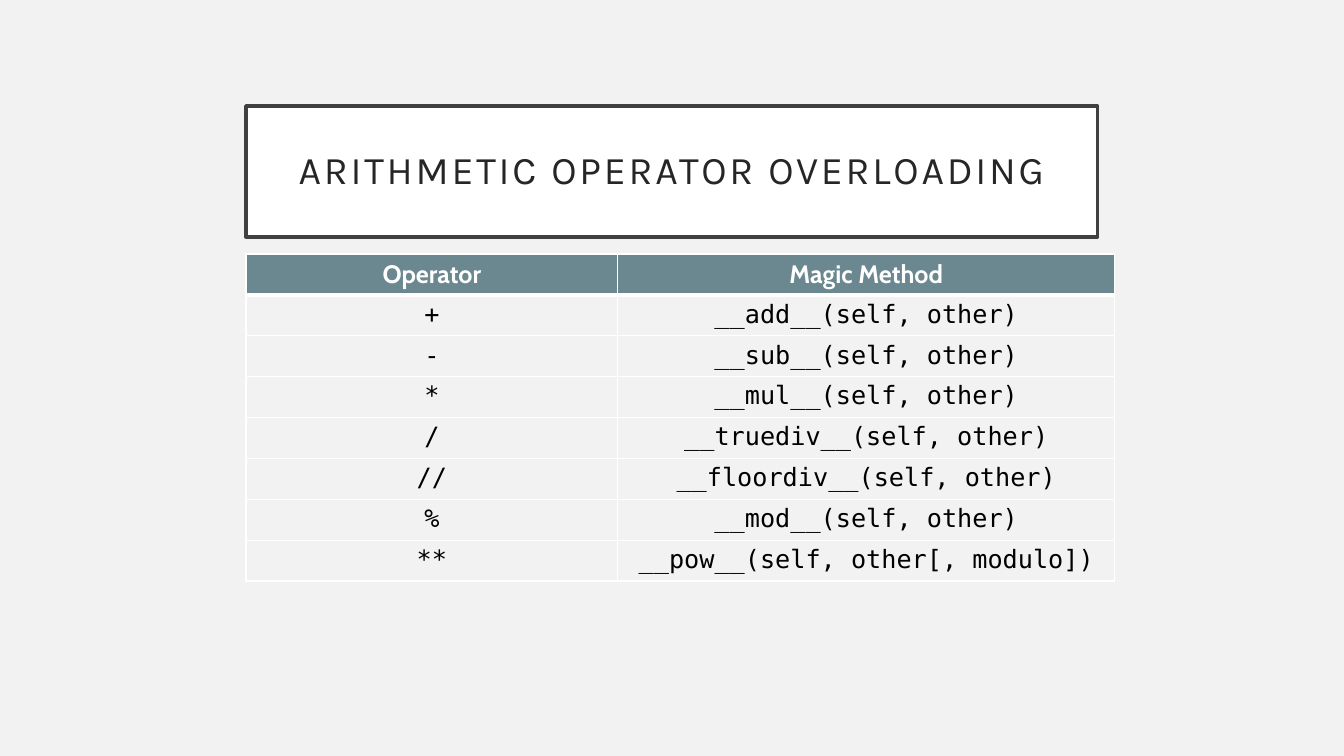
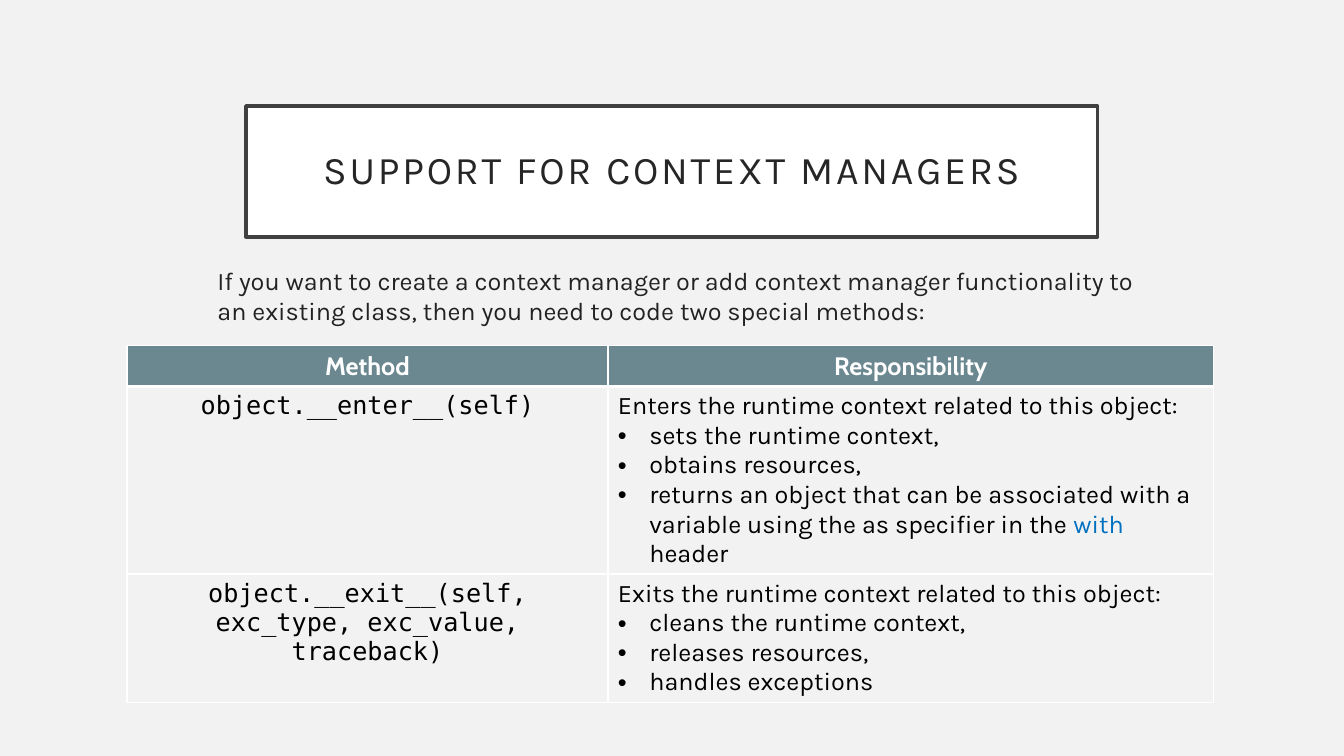
from dataclasses import dataclass, replace
from typing import Optional

from lxml import etree
from pptx import Presentation
from pptx import util as u
from pptx.dml import color
from pptx.enum import shapes, text
from pptx.oxml import ns


# Theme
@dataclass(frozen=True)
class Theme:
    page: str = "F2F2F2"
    white: str = "FFFFFF"
    frame: str = "404040"
    title: str = "262626"
    lead: str = "222222"
    body: str = "000000"
    header: str = "6B8891"
    keyword: str = "0070C0"
    sans: str = "Karla"
    heading: str = "Cabin"
    mono: str = "DejaVu Sans Mono"
    title_size: int = 28
    body_size: int = 18
    frame_width: float = 2.5
    rule: int = 1
    header_rule: int = 3


THEME = Theme()


# Content types
@dataclass(frozen=True)
class Style:
    font: str
    ink: str
    size: int = THEME.body_size
    bold: bool = False
    spacing: int = 0


@dataclass(frozen=True)
class Line:
    runs: tuple[tuple[str, Style], ...]
    centred: bool = False
    bullet: bool = False
    leading: Optional[float] = None


@dataclass(frozen=True)
class Box:
    left: float
    top: float
    width: float
    height: float

    def lengths(self) -> tuple[u.Length, ...]:
        return tuple(map(u.Cm, (self.left, self.top, self.width, self.height)))


@dataclass(frozen=True)
class Grid:
    left: float
    top: float
    columns: tuple[float, ...]
    heights: tuple[float, ...]
    headings: tuple[str, ...]
    rows: tuple[tuple[tuple[Line, ...], ...], ...]


TITLE = Style(THEME.sans, THEME.title, THEME.title_size, spacing=200)
LEAD = Style(THEME.sans, THEME.lead)
HEADING = Style(THEME.heading, THEME.white, bold=True)
CODE = Style(THEME.mono, THEME.body)
BODY = Style(THEME.sans, THEME.body)
KEYWORD = replace(BODY, ink=THEME.keyword)

TITLE_BOX = Box(6.2, 2.67, 21.46, 3.3)
LEAD_BOX = Box(5.23, 6.55, 24, 1.8)
TITLE_INSET = 0.51
BULLET_INDENT = 0.79
HEADER_HEIGHT = 1.03


def code(words: str) -> tuple[Line, ...]:
    return (Line(((words, CODE),), centred=True),)


def duties(intro: str, *items: tuple[tuple[str, Style], ...]) -> tuple[Line, ...]:
    return (Line(((intro, BODY),)), *(Line(item, bullet=True) for item in items))


# Text
def rgb(value: str) -> color.RGBColor:
    return color.RGBColor.from_string(value)


def write(frame, lines: tuple[Line, ...]) -> None:
    for index, line in enumerate(lines):
        paragraph = frame.add_paragraph() if index else frame.paragraphs[0]
        paragraph.alignment = text.PP_ALIGN.CENTER if line.centred else text.PP_ALIGN.LEFT
        if line.leading:
            paragraph.line_spacing = line.leading
        if line.bullet:
            props = paragraph._p.get_or_add_pPr()
            indent = u.Cm(BULLET_INDENT)
            props.set("marL", str(indent))
            props.set("indent", str(-indent))
            etree.SubElement(props, ns.qn("a:buFont")).set("typeface", "Arial")
            etree.SubElement(props, ns.qn("a:buChar")).set("char", "•")
        for words, style in line.runs:
            run = paragraph.add_run()
            run.text = words
            run.font.name = style.font
            run.font.size = u.Pt(style.size)
            run.font.bold = style.bold
            run.font.color.rgb = rgb(style.ink)
            if style.spacing:
                run.font._element.set("spc", str(style.spacing))


# Shared slide parts
def add_titled_slide(deck, title: str):
    slide = deck.slides.add_slide(deck.slide_layouts[6])
    slide.background.fill.solid()
    slide.background.fill.fore_color.rgb = rgb(THEME.page)

    banner = slide.shapes.add_shape(shapes.MSO_SHAPE.RECTANGLE, *TITLE_BOX.lengths())
    banner.shadow.inherit = False
    banner.fill.solid()
    banner.fill.fore_color.rgb = rgb(THEME.white)
    banner.line.color.rgb = rgb(THEME.frame)
    banner.line.width = u.Pt(THEME.frame_width)

    frame = banner.text_frame
    frame.word_wrap = True
    frame.vertical_anchor = text.MSO_ANCHOR.MIDDLE
    frame.margin_left = frame.margin_right = u.Cm(TITLE_INSET)
    frame.margin_top = frame.margin_bottom = u.Cm(TITLE_INSET)
    write(frame, (Line(((title, TITLE),), centred=True, leading=0.9),))
    return slide


def add_lead(slide, words: str) -> None:
    frame = slide.shapes.add_textbox(*LEAD_BOX.lengths()).text_frame
    frame.word_wrap = True
    frame.auto_size = text.MSO_AUTO_SIZE.SHAPE_TO_FIT_TEXT
    write(frame, (Line(((words, LEAD),)),))


# Tables
def set_borders(cell, top: int, bottom: int) -> None:
    props = cell._tc.get_or_add_tcPr()
    widths = {"lnL": THEME.rule, "lnR": THEME.rule, "lnT": top, "lnB": bottom}
    for position, (side, points) in enumerate(widths.items()):
        edge = etree.Element(ns.qn(f"a:{side}"), w=str(u.Pt(points)))
        fill = etree.SubElement(edge, ns.qn("a:solidFill"))
        etree.SubElement(fill, ns.qn("a:srgbClr")).set("val", THEME.white)
        props.insert(position, edge)


def add_grid(slide, grid: Grid) -> None:
    heights = (HEADER_HEIGHT, *grid.heights)
    box = Box(grid.left, grid.top, sum(grid.columns), sum(heights))
    table = slide.shapes.add_table(len(heights), len(grid.columns), *box.lengths()).table
    table.horz_banding = False
    for column, width in zip(table.columns, grid.columns):
        column.width = u.Cm(width)
    for row, height in zip(table.rows, heights):
        row.height = u.Cm(height)

    headings = tuple((Line(((words, HEADING),), centred=True),) for words in grid.headings)
    for r, entries in enumerate((headings, *grid.rows)):
        for c, lines in enumerate(entries):
            cell = table.cell(r, c)
            if r == 0:
                cell.fill.solid()
                cell.fill.fore_color.rgb = rgb(THEME.header)
            else:
                cell.fill.background()
            set_borders(
                cell,
                top=THEME.header_rule if r == 1 else THEME.rule,
                bottom=THEME.header_rule if r == 0 else THEME.rule,
            )
            write(cell.text_frame, lines)


# Slide content
OPERATORS = (
    ("+", "__add__(self, other)"),
    ("-", "__sub__(self, other)"),
    ("*", "__mul__(self, other)"),
    ("/", "__truediv__(self, other)"),
    ("//", "__floordiv__(self, other)"),
    ("%", "__mod__(self, other)"),
    ("**", "__pow__(self, other[, modulo])"),
)

OPERATOR_GRID = Grid(
    left=6.2,
    top=6.4,
    columns=(9.37, 12.52),
    heights=(HEADER_HEIGHT,) * len(OPERATORS),
    headings=("Operator", "Magic Method"),
    rows=tuple((code(operator), code(method)) for operator, method in OPERATORS),
)

CONTEXT_GRID = Grid(
    left=3.2,
    top=8.71,
    columns=(12.12, 15.27),
    heights=(4.7, 3.2),
    headings=("Method", "Responsibility"),
    rows=(
        (
            code("object.__enter__(self)"),
            duties(
                "Enters the runtime context related to this object:",
                (("sets the runtime context,", BODY),),
                (("obtains resources,", BODY),),
                (
                    ("returns an object that can be associated with a variable "
                     "using the as specifier in the ", BODY),
                    ("with", KEYWORD),
                    (" header", BODY),
                ),
            ),
        ),
        (
            code("object.__exit__(self, exc_type, exc_value, traceback)"),
            duties(
                "Exits the runtime context related to this object:",
                (("cleans the runtime context,", BODY),),
                (("releases resources,", BODY),),
                (("handles exceptions", BODY),),
            ),
        ),
    ),
)


def main() -> None:
    deck = Presentation()
    deck.slide_width, deck.slide_height = u.Cm(33.87), u.Cm(19.05)

    operators = add_titled_slide(deck, "ARITHMETIC OPERATOR OVERLOADING")
    add_grid(operators, OPERATOR_GRID)

    managers = add_titled_slide(deck, "SUPPORT FOR CONTEXT MANAGERS")
    add_grid(managers, CONTEXT_GRID)
    add_lead(
        managers,
        "If you want to create a context manager or add context manager functionality "
        "to an existing class, then you need to code two special methods:",
    )

    deck.save("out.pptx")


if __name__ == "__main__":
    main()
